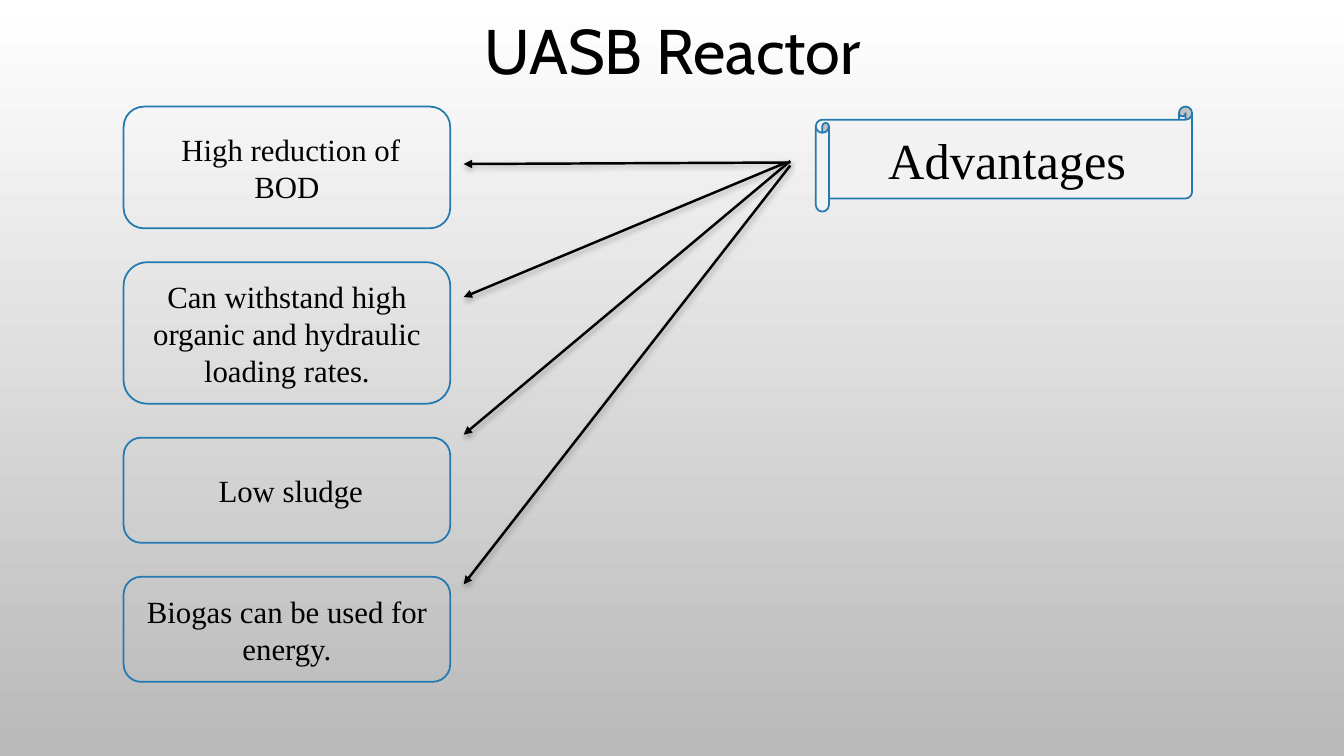
from lxml.etree import SubElement
from pptx import Presentation
from pptx.dml.color import RGBColor
from pptx.enum.shapes import MSO_CONNECTOR, MSO_SHAPE
from pptx.enum.text import MSO_ANCHOR, MSO_AUTO_SIZE, PP_ALIGN
from pptx.oxml.ns import qn
from pptx.util import Inches, Pt

COLORS = {
    "top": "FFFFFF",
    "bottom": "B9B9B9",
    "outline": "2379B0",
    "scroll": "F2F2F2",
    "ink": "000000",
}
TITLE_FONT = "Cabin"
BODY_FONT = "Times New Roman"
GRID = 100
BOX_LEFT, BOX_TOP, BOX_WIDTH, BOX_GAP = 9.2, 14.1, 24.3, 4.5
ARROW_END = 34.5
ADVANTAGES = [
    (" High reduction of BOD", 16.1, (58.8, 21.5), 21.7),
    ("Can withstand high organic and hydraulic loading rates.", 18.7, (58.5, 21.5), 39.3),
    (" Low sludge", 13.9, (58.8, 21.3), 57.5),
    ("Biogas can be used for energy.", 13.9, (58.8, 21.9), 77.3),
]


class SlideBuilder:
    """Draws styled elements on a slide, placed in hundredths of its width and height."""

    def __init__(self, presentation):
        self.column = presentation.slide_width / GRID
        self.row = presentation.slide_height / GRID
        self.slide = presentation.slides.add_slide(presentation.slide_layouts[5])

    def color(self, name):
        return RGBColor.from_string(COLORS[name])

    def place(self, *lengths):
        units = (self.column, self.row) * 2
        return [round(length * unit) for length, unit in zip(lengths, units)]

    def background(self):
        fill = self.slide.background.fill
        fill.gradient()
        fill.gradient_angle = 270
        for stop, name, position in zip(fill.gradient_stops, ("top", "bottom"), (0, 1)):
            stop.color.rgb = self.color(name)
            stop.position = position

    def label(self, shape, text, size, font_name):
        frame = shape.text_frame
        frame.text = text
        frame.word_wrap = True
        frame.auto_size = MSO_AUTO_SIZE.NONE
        frame.vertical_anchor = MSO_ANCHOR.MIDDLE
        paragraph = frame.paragraphs[0]
        paragraph.alignment = PP_ALIGN.CENTER
        paragraph.font.size = Pt(size)
        paragraph.font.name = font_name
        paragraph.font.color.rgb = self.color("ink")

    def title(self, text, *area):
        title = self.slide.shapes.title
        title.left, title.top, title.width, title.height = self.place(*area)
        self.label(title, text, 45, TITLE_FONT)

    def panel(self, preset, text, size, area, fill=None):
        shape = self.slide.shapes.add_shape(preset, *self.place(*area))
        shape.shadow.inherit = False
        if fill:
            shape.fill.solid()
            shape.fill.fore_color.rgb = self.color(fill)
        else:
            shape.fill.background()
        shape.line.color.rgb = self.color("outline")
        shape.line.width = Pt(1.25)
        self.label(shape, text, size, BODY_FONT)

    def arrow(self, start, end):
        connector = self.slide.shapes.add_connector(
            MSO_CONNECTOR.STRAIGHT, *self.place(*start, *end))
        connector.line.color.rgb = self.color("ink")
        connector.line.width = Pt(1.75)
        properties = connector._element.spPr
        SubElement(properties.get_or_add_ln(), qn("a:tailEnd"), type="triangle")
        effects = SubElement(properties, qn("a:effectLst"))
        shadow = SubElement(effects, qn("a:outerShdw"), blurRad=str(Pt(4)), dist=str(Pt(2)),
                            dir="5400000", rotWithShape="0")
        tint = SubElement(shadow, qn("a:srgbClr"), val=COLORS["ink"])
        SubElement(tint, qn("a:alpha"), val="28000")


def main():
    presentation = Presentation()
    presentation.slide_width, presentation.slide_height = Inches(13.33), Inches(7.5)
    builder = SlideBuilder(presentation)
    builder.background()
    builder.title("UASB Reactor", 21.9, 1.6, 56.3, 9.9)
    builder.panel(MSO_SHAPE.HORIZONTAL_SCROLL, "Advantages", 36,
                  (60.7, BOX_TOP, 28, 13.9), "scroll")
    top = BOX_TOP
    for text, height, arrow_start, arrow_end_row in ADVANTAGES:
        builder.panel(MSO_SHAPE.ROUNDED_RECTANGLE, text, 22,
                      (BOX_LEFT, top, BOX_WIDTH, height))
        builder.arrow(arrow_start, (ARROW_END, arrow_end_row))
        top += height + BOX_GAP
    presentation.save("out.pptx")


if __name__ == "__main__":
    main()
